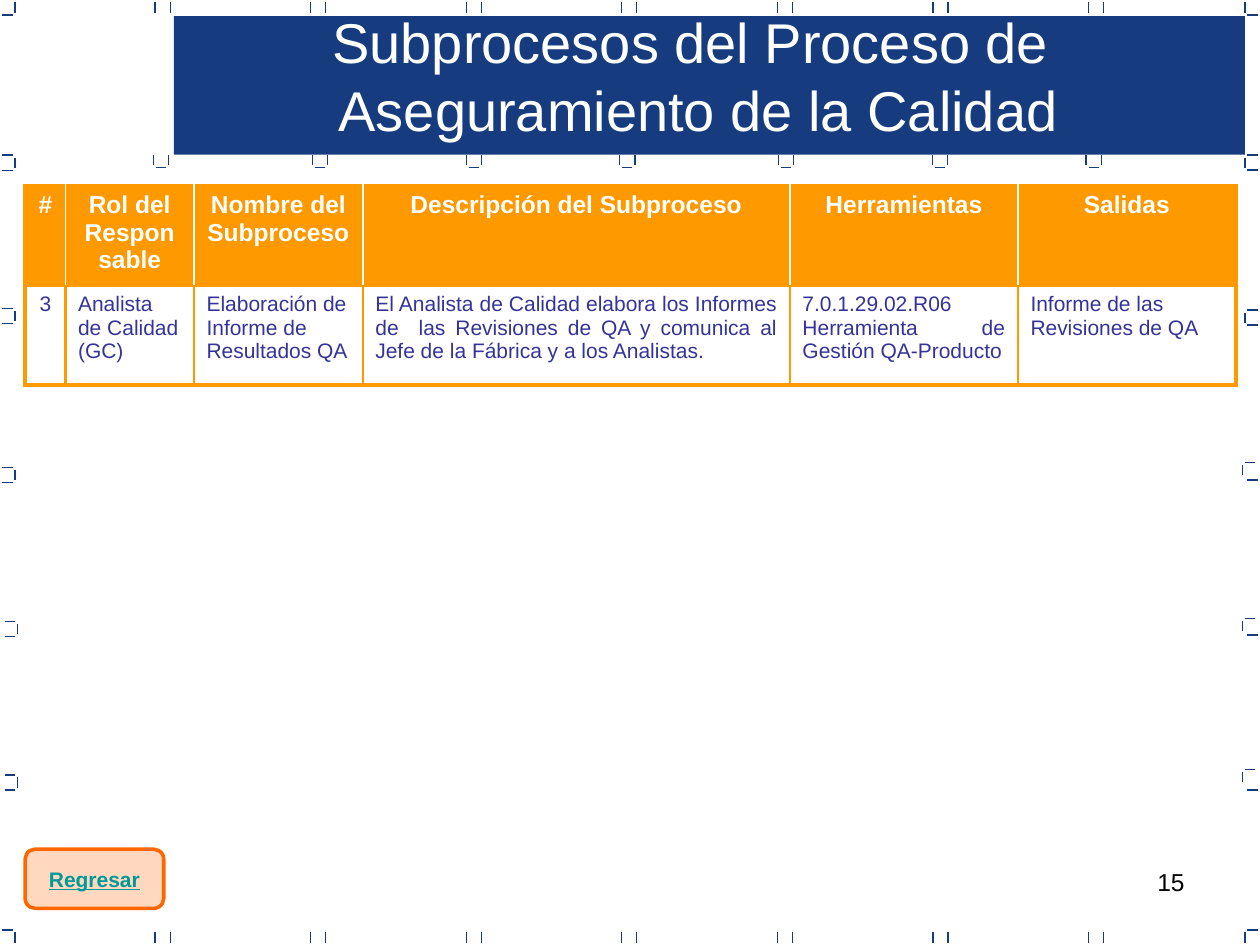
from lxml.etree import SubElement
from pptx import Presentation
from pptx.dml.color import RGBColor
from pptx.enum.shapes import MSO_CONNECTOR as Connector, MSO_SHAPE as Shape
from pptx.enum.text import MSO_ANCHOR as Anchor, PP_ALIGN as Align
from pptx.oxml.ns import qn
from pptx.util import Pt

NAVY = RGBColor(0x16, 0x3B, 0x7F)
ORANGE = RGBColor(0xFF, 0x99, 0x00)
DEEP_ORANGE = RGBColor(0xFF, 0x66, 0x00)
INDIGO = RGBColor(0x33, 0x33, 0x99)
TEAL = RGBColor(0x00, 0x99, 0x99)
WHITE = RGBColor(0xFF, 0xFF, 0xFF)
BLACK = RGBColor(0, 0, 0)

GAP, DASH = 1.44, 5.76
SPAN = 2 * GAP + DASH
LEFT_EDGE, RIGHT_EDGE, BOTTOM_EDGE = 8.64, 711.4, 531.4

COLUMN_WIDTHS = [23.04, 73.44, 96.48, 244.08, 130.32, 124.56]
HEADINGS = ["#", "Rol del Responsable", "Nombre del Subproceso",
            "Descripción del Subproceso", "Herramientas", "Salidas"]
SPACED = {"space_before": Pt(7.1), "space_after": Pt(7.1)}
TIGHT = {"space_before": Pt(2.4)}
SUBPROCESS = [
    ("3", {"alignment": Align.CENTER, **SPACED}),
    ("Analista de Calidad (GC)", TIGHT),
    ("Elaboración de Informe de Resultados QA", TIGHT),
    ("El Analista de Calidad elabora los Informes de  las Revisiones de QA "
     "y comunica al Jefe de la Fábrica y a los Analistas.",
     {"alignment": Align.JUSTIFY, **SPACED}),
    ("7.0.1.29.02.R06 Herramienta de Gestión QA-Producto",
     {"alignment": Align.JUSTIFY, **SPACED}),
    ("Informe de las Revisiones de QA", SPACED),
]


def apply(target, values):
    """Set every attribute of a format dict on the target."""
    for attribute, value in values.items():
        setattr(target, attribute, value)


def write(frame, lines, color, font, layout):
    """Fill a text frame with equally formatted paragraphs."""
    for index, line in enumerate(lines):
        paragraph = frame.add_paragraph() if index else frame.paragraphs[0]
        apply(paragraph, layout)
        run = paragraph.add_run()
        run.text = line
        apply(run.font, {"name": "Arial", **font})
        run.font.color.rgb = color


def add_label(slide, box, lines, color, font, layout, frame_format=None):
    """Add a wrapping text box."""
    frame = slide.shapes.add_textbox(*map(Pt, box)).text_frame
    apply(frame, {"word_wrap": True, **(frame_format or {})})
    write(frame, lines, color, font, layout)


def add_panel(slide, kind, box, color):
    """Add a filled shape without outline or shadow."""
    panel = slide.shapes.add_shape(kind, *map(Pt, box))
    panel.shadow.inherit = False
    panel.fill.solid()
    panel.fill.fore_color.rgb = color
    panel.line.fill.background()
    return panel


def add_dash(slide, x, y, upright):
    """Add one short border dash that starts at x, y."""
    end = (x, y + DASH) if upright else (x + DASH, y)
    dash = slide.shapes.add_connector(Connector.STRAIGHT, *map(Pt, (x, y, *end)))
    dash.line.color.rgb = NAVY
    dash.line.width = Pt(0.75)
    SubElement(dash._element.spPr, qn("a:effectLst"))


def add_border(slide):
    """Lay out the dashes around the slide."""
    uprights, levels = [], []
    left_dash, right_dash = GAP, RIGHT_EDGE + GAP
    for y in (GAP, BOTTOM_EDGE + GAP):
        uprights += [(x, y) for x in (LEFT_EDGE, RIGHT_EDGE)]
        uprights += [(88.6 + 88.9 * step + shift, y)
                     for step in range(7) for shift in (0, SPAN)]
    for y in (LEFT_EDGE, BOTTOM_EDGE):
        levels += [(left_dash, y), (right_dash, y)]
    for y, inset in ((88.6, 0), (176.4, 0), (267.1, 0), (355, GAP), (442.8, GAP)):
        uprights.append((LEFT_EDGE + inset, y + GAP))
        levels += [(left_dash + inset, y), (left_dash + inset, y + SPAN)]
    for y, inset in ((88.6, 0), (177.6, 0), (264.2, GAP), (353.5, GAP), (439.9, GAP)):
        uprights.append((RIGHT_EDGE - inset, y + GAP))
        levels.append((right_dash - inset, y))
    levels += [(right_dash, 97.2 + 88.55 * step) for step in range(5)]
    levels.append((right_dash, 177.1))
    for x in (87.8, 178.6, 266.4, 354.2, 445, 532.8, 620.6):
        uprights += [(x, 88.6), (x + SPAN, 88.6)]
        levels.append((x + GAP, 95.8))
    for places, upright in ((uprights, True), (levels, False)):
        for x, y in places:
            add_dash(slide, x, y, upright)


def set_borders(cell, sides):
    """Draw cell borders given as side: (colour, width)."""
    properties = cell._tc.get_or_add_tcPr()
    for side in "LRTB":
        color, width = sides[side]
        line = SubElement(properties, qn(f"a:ln{side}"), w=str(Pt(width)))
        fill = SubElement(line, qn("a:solidFill"))
        SubElement(fill, qn("a:srgbClr"), val=str(color))


def add_subprocess_table(slide):
    """Add the table with its heading row and one subprocess."""
    heights = [55.2, 56.6]
    table = slide.shapes.add_table(
        2, len(HEADINGS), Pt(14.4), Pt(105.84),
        Pt(sum(COLUMN_WIDTHS)), Pt(sum(heights))).table
    apply(table, {"first_row": False, "horz_banding": False})
    for column, width in zip(table.columns, COLUMN_WIDTHS):
        column.width = Pt(width)
    for row, height in zip(table.rows, heights):
        row.height = Pt(height)
    heading_layout = {"alignment": Align.CENTER, "space_before": Pt(2.8)}
    rows = [
        ([(text, heading_layout) for text in HEADINGS], WHITE,
         {"size": Pt(14), "bold": True}, (WHITE, 1)),
        (SUBPROCESS, INDIGO, {"size": Pt(12), "bold": False}, (ORANGE, 1.5)),
    ]
    outer, middle = (ORANGE, 2.25), (ORANGE, 1.5)
    last = len(HEADINGS) - 1
    for r, (entries, color, font, inner) in enumerate(rows):
        for c, (text, layout) in enumerate(entries):
            cell = table.cell(r, c)
            set_borders(cell, {"L": inner if c else outer,
                               "R": inner if c < last else outer,
                               "T": middle if r else outer,
                               "B": outer if r else middle})
            if r:
                cell.fill.background()
            else:
                cell.fill.solid()
                cell.fill.fore_color.rgb = ORANGE
            write(cell.text_frame, [text], color, font, layout)


def add_return_button(slide):
    """Add the translucent return button."""
    button = add_panel(slide, Shape.FLOWCHART_ALTERNATE_PROCESS,
                       (14.4, 485.3, 79.2, 33.8), DEEP_ORANGE)
    tint = button._element.spPr.find(qn("a:solidFill"))[0]
    SubElement(tint, qn("a:alpha"), val="25000")
    button.line.color.rgb = DEEP_ORANGE
    button.line.width = Pt(2)
    apply(button.text_frame, {"word_wrap": False, "vertical_anchor": Anchor.MIDDLE})
    write(button.text_frame, ["Regresar"], TEAL,
          {"size": Pt(12), "bold": True, "underline": True},
          {"alignment": Align.CENTER})


def main():
    """Build the slide and save it."""
    deck = Presentation()
    apply(deck, {"slide_width": Pt(720), "slide_height": Pt(540)})
    slide = deck.slides.add_slide(deck.slide_layouts[6])
    add_label(slide, (516.2, 491.8, 167.8, 37.4), ["15"], BLACK,
              {"size": Pt(14)}, {"alignment": Align.RIGHT})
    add_border(slide)
    add_panel(slide, Shape.RECTANGLE, (99.4, 9.2, 612, 79.2), NAVY)
    add_subprocess_table(slide)
    add_label(slide, (105.1, 0, 588.2, 84.2),
              ["Subprocesos del Proceso de ", "Aseguramiento de la Calidad"],
              WHITE, {"size": Pt(32)},
              {"alignment": Align.CENTER, "line_spacing": Pt(38.4)},
              {"margin_top": Pt(4.6)})
    add_return_button(slide)
    deck.save("out.pptx")


main()
